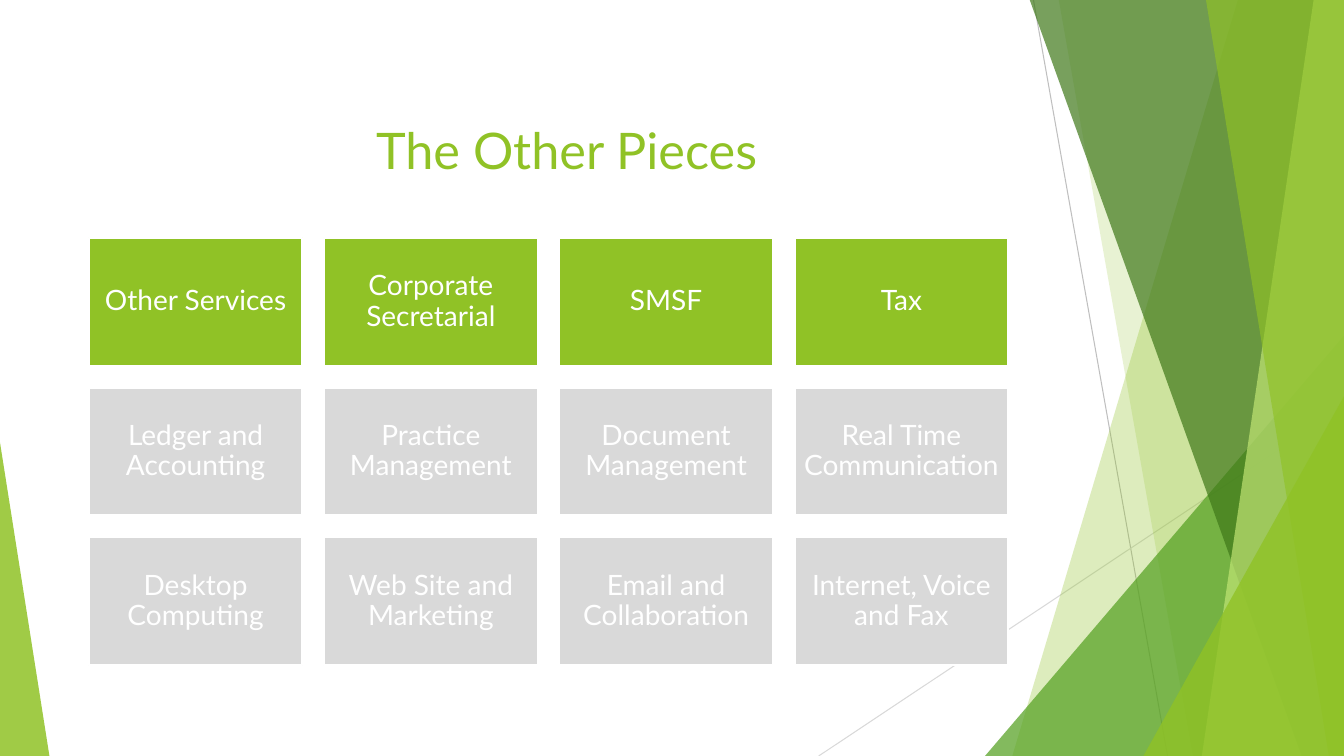
from dataclasses import dataclass

from lxml import etree
from pptx import Presentation
from pptx.dml.color import RGBColor
from pptx.enum import shapes, text
from pptx.oxml import ns
from pptx.util import Inches, Pt


@dataclass(frozen=True)
class Theme:
    """Colours, type sizes and font of the slide."""
    font: str = "Lato"
    title_size: int = 36
    tile_size: int = 20
    lime: str = "90C226"
    pale_lime: str = "C0E474"
    green: str = "54A021"
    forest: str = "3F7819"
    grey: str = "D9D9D9"
    dark_grey: str = "BFBFBF"
    white: str = "FFFFFF"


THEME = Theme()
WIDTH, HEIGHT = 13.33, 7.5
TILE_WIDTH, TILE_HEIGHT = 2.12, 1.27
FIRST_LEFT, LAST_LEFT = 0.88, 7.88
FIRST_TOP, LAST_TOP = 2.36, 5.33
TILES = [
    ["Other Services", "Corporate Secretarial", "SMSF", "Tax"],
    ["Ledger and Accounting", "Practice Management",
     "Document Management", "Real Time Communication"],
    ["Desktop Computing", "Web Site and Marketing",
     "Email and Collaboration", "Internet, Voice and Fax"],
]


def paint(shape, colour, opacity=100):
    """Fill a shape with a colour at an opacity in percent, without shadow."""
    shape.shadow.inherit = False
    shape.fill.solid()
    shape.fill.fore_color.rgb = RGBColor.from_string(colour)
    if opacity < 100:
        tone = shape.fill._xPr.find(".//" + ns.qn("a:srgbClr"))
        etree.SubElement(tone, ns.qn("a:alpha"), val=str(opacity * 1000))


def write(frame, words, *, size, colour, align, anchor, inset=None, spacing=None):
    """Write one formatted paragraph into a text frame."""
    frame.word_wrap = True
    frame.auto_size = text.MSO_AUTO_SIZE.NONE
    frame.vertical_anchor = anchor
    if inset is not None:
        frame.margin_left = frame.margin_right = Inches(inset)
        frame.margin_top = frame.margin_bottom = Inches(inset)
    para = frame.paragraphs[0]
    para.alignment = align
    para.line_spacing = spacing
    span = para.add_run()
    span.text = words
    span.font.name = THEME.font
    span.font.size = Pt(size)
    span.font.color.rgb = RGBColor.from_string(colour)


def add_line(page, start, end, colour):
    """Draw a thin straight line."""
    line = page.shapes.add_connector(
        shapes.MSO_CONNECTOR.STRAIGHT, *map(Inches, start + end))
    line.line.color.rgb = RGBColor.from_string(colour)
    line.line.width = Pt(0.75)
    etree.SubElement(line._element.spPr, ns.qn("a:effectLst"))


def add_band(page, top_left, bottom_left, colour, opacity):
    """Draw a slanted band that reaches the right edge of the slide."""
    top = -0.01
    corners = [(WIDTH, top), (WIDTH, HEIGHT), (bottom_left, HEIGHT)]
    builder = page.shapes.build_freeform(Inches(top_left), Inches(top))
    builder.add_line_segments([(Inches(x), Inches(y)) for x, y in corners])
    band = builder.convert_to_shape()
    paint(band, colour, opacity)
    band.line.fill.background()


def add_wedge(page, left, top, width, apex, colour, opacity):
    """Draw a right-angled triangle standing on the bottom edge."""
    wedge = page.shapes.add_shape(
        shapes.MSO_SHAPE.ISOSCELES_TRIANGLE,
        *map(Inches, (left, top, width, HEIGHT - top)))
    wedge.adjustments[0] = apex
    paint(wedge, colour, opacity)
    wedge.line.fill.background()


def add_backdrop(page):
    """Draw the overlapping green facets."""
    add_line(page, (10.25, 0), (11.58, HEIGHT), THEME.dark_grey)
    add_line(page, (WIDTH, 4.03), (8.12, HEIGHT), THEME.grey)
    add_band(page, 12.28, 10.04, THEME.lime, 30)
    add_band(page, 10.5, 11.83, THEME.lime, 20)
    add_wedge(page, 9.77, 3.33, 3.56, 1, THEME.green, 72)
    add_band(page, 10.21, 12.91, THEME.forest, 70)
    add_band(page, 13.03, 11.92, THEME.pale_lime, 70)
    add_band(page, 11.96, 13.18, THEME.lime, 65)
    add_wedge(page, 11.34, 3.93, 1.99, 1, THEME.lime, 80)
    add_wedge(page, 0, 4.39, 0.49, 0, THEME.lime, 85)


def add_title(page, words):
    """Place and fill the title placeholder."""
    title = page.shapes.title
    title.left, title.top = Inches(3.63), Inches(0.94)
    title.width, title.height = Inches(6.51), Inches(0.89)
    write(title.text_frame, words, size=THEME.title_size, colour=THEME.lime,
          align=text.PP_ALIGN.LEFT, anchor=text.MSO_ANCHOR.BOTTOM)


def add_tile(page, left, top, words, colour):
    """Draw one labelled rectangle."""
    tile = page.shapes.add_shape(
        shapes.MSO_SHAPE.RECTANGLE,
        *map(Inches, (left, top, TILE_WIDTH, TILE_HEIGHT)))
    paint(tile, colour)
    tile.line.color.rgb = RGBColor.from_string(THEME.white)
    tile.line.width = Pt(1.5)
    write(tile.text_frame, words, size=THEME.tile_size, colour=THEME.white,
          align=text.PP_ALIGN.CENTER, anchor=text.MSO_ANCHOR.MIDDLE,
          inset=0.08, spacing=0.9)


def add_tiles(page):
    """Lay out the tiles in an even grid with a highlighted first row."""
    column_step = (LAST_LEFT - FIRST_LEFT) / (len(TILES[0]) - 1)
    row_step = (LAST_TOP - FIRST_TOP) / (len(TILES) - 1)
    for row, labels in enumerate(TILES):
        colour = THEME.grey if row else THEME.lime
        for column, label in enumerate(labels):
            add_tile(page, FIRST_LEFT + column * column_step,
                     FIRST_TOP + row * row_step, label, colour)


def main():
    """Build and save the slide."""
    deck = Presentation()
    deck.slide_width, deck.slide_height = Inches(WIDTH), Inches(HEIGHT)
    page = deck.slides.add_slide(deck.slide_layouts.get_by_name("Title Only"))
    add_backdrop(page)
    add_title(page, "The Other Pieces")
    add_tiles(page)
    deck.save("out.pptx")


if __name__ == "__main__":
    main()
